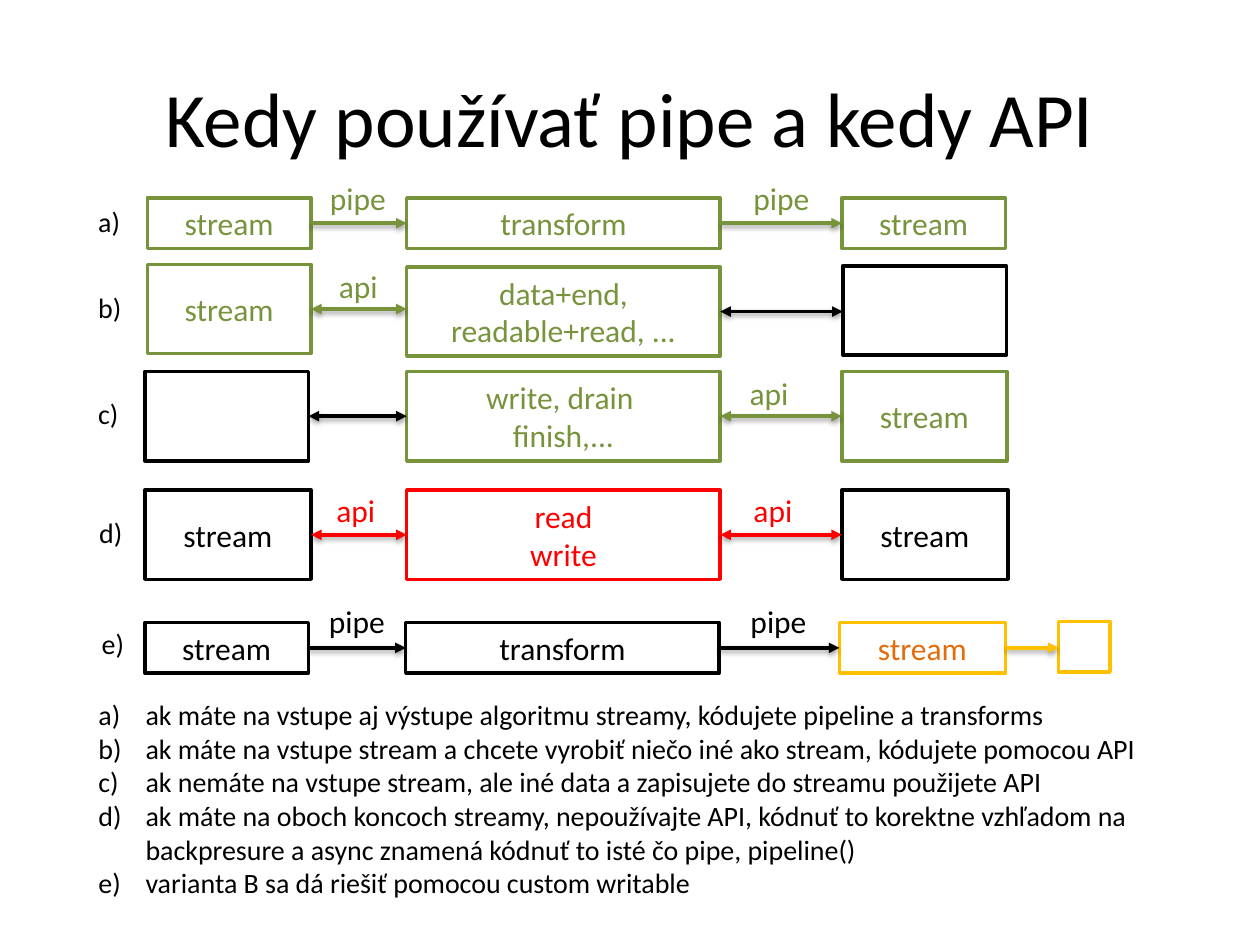
from lxml.etree import SubElement
from pptx import Presentation
from pptx.dml.color import RGBColor
from pptx.enum.shapes import MSO_CONNECTOR, MSO_SHAPE
from pptx.enum.text import MSO_ANCHOR, MSO_AUTO_SIZE, PP_ALIGN
from pptx.oxml import parse_xml
from pptx.oxml.ns import qn
from pptx.util import Cm, Pt

GREEN, BLACK, RED, GOLD, ORANGE = "77933C", "000000", "FF0000", "FFC000", "E46C0A"
WHITE = "FFFFFF"
FONT = "Calibri"
MID_W = 6.32
SHADOW = (
    '<a:effectLst xmlns:a="http://schemas.openxmlformats.org/drawingml/2006/main">'
    '<a:outerShdw blurRad="39370" dist="20000" dir="5400000" rotWithShape="0">'
    '<a:srgbClr val="000000"><a:alpha val="38000"/></a:srgbClr>'
    "</a:outerShdw></a:effectLst>"
)

# Each row: tag (text, left, top), height, boxes (left, top, width, text, line, font), links (label, left, top, colour, two-way)
ROWS = [
    (("a)", 1.73, 3.99), 1.02,
     [(2.97, 3.99, 3.3, "stream", GREEN, GREEN),
      (8.2, 3.99, MID_W, "transform", GREEN, GREEN),
      (16.97, 3.99, 3.3, "stream", GREEN, GREEN)],
     [("pipe", 6.4, 3.48, GREEN, False), ("pipe", 14.94, 3.48, GREEN, False)]),
    (("b)", 1.73, 5.74), 1.8,
     [(2.97, 5.33, 3.3, "stream", GREEN, GREEN),
      (8.2, 5.38, MID_W, "data+end, readable+read, ...", GREEN, GREEN),
      (16.99, 5.36, 3.3, "", BLACK, BLACK)],
     [("api", 6.58, 5.26, GREEN, True), ("", 0, 0, BLACK, True)]),
    (("c)", 1.73, 7.87), 1.8,
     [(2.92, 7.49, 3.3, "", BLACK, BLACK),
      (8.2, 7.49, MID_W, "write, drain \nfinish,...", GREEN, GREEN),
      (16.97, 7.49, 3.33, "stream", GREEN, GREEN)],
     [("", 0, 0, BLACK, True), ("api", 14.86, 7.42, GREEN, True)]),
    (("d)", 1.75, 10.26), 1.8,
     [(2.92, 9.88, 3.35, "stream", BLACK, BLACK),
      (8.2, 9.88, MID_W, "read\nwrite", RED, RED),
      (16.97, 9.88, 3.35, "stream", BLACK, BLACK)],
     [("api", 6.53, 9.78, RED, True), ("api", 14.94, 9.78, RED, True)]),
    (("e)", 1.8, 12.5), 1.02,
     [(2.92, 12.55, 3.3, "stream", BLACK, BLACK),
      (8.18, 12.55, MID_W, "transform", BLACK, BLACK),
      (16.92, 12.55, 3.35, "stream", GOLD, ORANGE),
      (21.34, 12.53, 1.04, "", GOLD, GOLD)],
     [("pipe", 6.38, 12.01, BLACK, False), ("pipe", 14.88, 12.01, BLACK, False),
      ("", 0, 0, GOLD, False)]),
]

NOTES = [
    "ak máte na vstupe aj výstupe algoritmu streamy, kódujete pipeline a transforms",
    "ak máte na vstupe stream a chcete vyrobiť niečo iné ako stream, kódujete pomocou API",
    "ak nemáte na vstupe stream, ale iné data a zapisujete do streamu použijete API",
    "ak máte na oboch koncoch streamy, nepoužívajte API, kódnuť to korektne vzhľadom na "
    "backpresure a async znamená kódnuť to isté čo pipe, pipeline()",
    "varianta B sa dá riešiť pomocou custom writable",
]


def rgb(value):
    """Return the colour for a hex string."""
    return RGBColor.from_string(value)


def style(tf, size, color, align=PP_ALIGN.LEFT):
    """Format every paragraph and run of a text frame."""
    for p in tf.paragraphs:
        p.alignment = align
        for r in p.runs:
            r.font.name = FONT
            r.font.size = Pt(size)
            r.font.color.rgb = rgb(color)


def place(sp, left, top, width, height):
    """Move and size a shape in centimetres."""
    sp.left, sp.top, sp.width, sp.height = Cm(left), Cm(top), Cm(width), Cm(height)


def add_box(s, left, top, width, height, text, line, color):
    """Add an outlined white box with centred text."""
    sp = s.shapes.add_shape(MSO_SHAPE.RECTANGLE, Cm(left), Cm(top), Cm(width), Cm(height))
    sp.shadow.inherit = False
    sp.fill.solid()
    sp.fill.fore_color.rgb = rgb(WHITE)
    sp.line.color.rgb = rgb(line)
    sp.line.width = Pt(2)
    if text:
        tf = sp.text_frame
        tf.text = text
        tf.vertical_anchor = MSO_ANCHOR.MIDDLE
        style(tf, 18, color, PP_ALIGN.CENTER)


def add_label(s, text, left, top, width, height, size, color):
    """Add a short unwrapped label."""
    sp = s.shapes.add_textbox(Cm(left), Cm(top), Cm(width), Cm(height))
    tf = sp.text_frame
    tf.text = text
    tf.word_wrap = False
    style(tf, size, color)


def add_arrow(s, x1, x2, y, color, two_way):
    """Add a horizontal shadowed arrow."""
    c = s.shapes.add_connector(MSO_CONNECTOR.STRAIGHT, Cm(x1), Cm(y), Cm(x2), Cm(y))
    c.line.color.rgb = rgb(color)
    c.line.width = Pt(2)
    ln = c.line._get_or_add_ln()
    for end in ("a:headEnd", "a:tailEnd") if two_way else ("a:tailEnd",):
        SubElement(ln, qn(end), type="triangle")
    c._element.spPr.append(parse_xml(SHADOW))


def add_row(s, tag, height, boxes, links):
    """Add one lettered flow of boxes joined by arrows."""
    add_label(s, *tag, 0.97, 0.94, 16, BLACK)
    for left, top, width, text, line, color in boxes:
        add_box(s, left, top, width, height, text, line, color)
    for box, after, link in zip(boxes, boxes[1:], links):
        label, left, top, color, two_way = link
        add_arrow(s, box[0] + box[2], after[0], box[1] + height / 2, color, two_way)
        if label:
            add_label(s, label, left, top, 1.65 if label == "pipe" else 1.3, 1.02, 18, color)


def set_title(s, text):
    """Fill the title placeholder."""
    sp = s.shapes.title
    place(sp, 1.27, 0.76, 22.86, 3.18)
    sp.text_frame.text = text
    style(sp.text_frame, 44, BLACK, PP_ALIGN.CENTER)


def set_list(s, items):
    """Fill the body placeholder with a lettered list."""
    sp = s.placeholders[1]
    place(sp, 1.73, 13.94, 21.92, 4.37)
    tf = sp.text_frame
    tf.text = "\n".join(items)
    tf.word_wrap = True
    tf.auto_size = MSO_AUTO_SIZE.NONE
    for p in tf.paragraphs:
        pPr = p._p.get_or_add_pPr()
        pPr.set("marL", str(Cm(0.95)))
        pPr.set("indent", str(Cm(-0.95)))
        SubElement(pPr, qn("a:buFont"), typeface="+mj-lt")
        SubElement(pPr, qn("a:buAutoNum"), type="alphaLcParenR")
        p.space_before = Pt(0)
    style(tf, 16, BLACK)


def main():
    """Build the slide and save it."""
    prs = Presentation()
    prs.slide_width, prs.slide_height = Cm(25.4), Cm(19.05)
    s = prs.slides.add_slide(prs.slide_layouts[1])
    set_title(s, "Kedy používať pipe a kedy API")
    for row in ROWS:
        add_row(s, *row)
    set_list(s, NOTES)
    prs.save("out.pptx")


if __name__ == "__main__":
    main()
